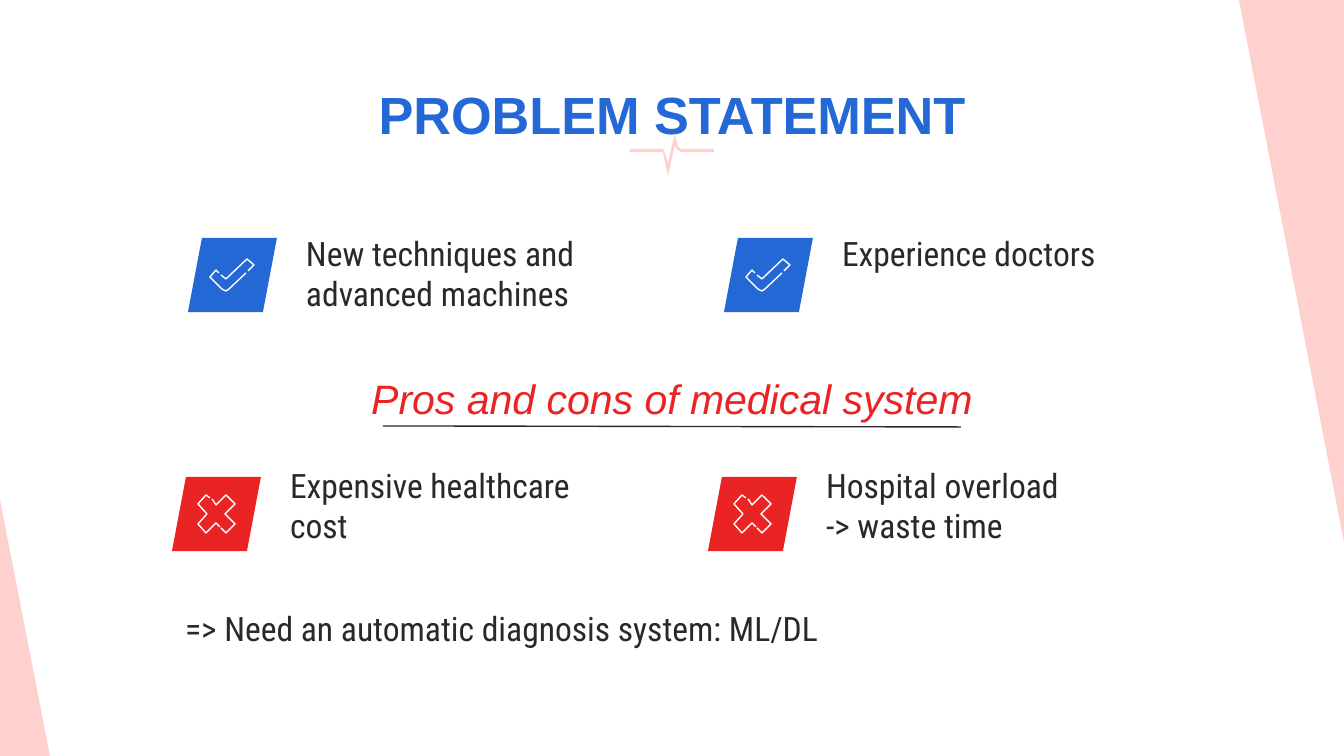
from dataclasses import dataclass

from lxml import etree
from pptx import Presentation
from pptx.dml.color import RGBColor
from pptx.enum.shapes import MSO_CONNECTOR
from pptx.enum.text import MSO_ANCHOR, MSO_AUTO_SIZE, PP_ALIGN
from pptx.oxml.ns import qn
from pptx.util import Pt

EMU_PER_PIXEL = 914400 / 134.4
SLIDE_WIDTH, SLIDE_HEIGHT = 1344, 756
STRAIGHT = MSO_CONNECTOR.STRAIGHT
TOP = MSO_ANCHOR.TOP
NO_AUTOFIT = MSO_AUTO_SIZE.NONE
LEFT, CENTER = PP_ALIGN.LEFT, PP_ALIGN.CENTER

COLORS = {
    "blue": "2468D6",
    "red": "EA2424",
    "pink": "FED1CF",
    "dark": "2C272A",
    "white": "FFFFFF",
}
INSET = 13
HEADING_TOP_INSET = 17
COLUMN_STEP = 536
TEXT_OFFSET = 105

Points = list[tuple[int, int]]

TILE: Points = [(14, 0), (0, 74), (75, 74), (89, 0)]
CHECK: list[Points] = [
    [(31, 35), (28, 32), (22, 39), (34, 51), (38, 53), (41, 51), (58, 35)],
    [(33, 37), (38, 41), (59, 21), (66, 27), (60, 33)],
]
CROSS: list[Points] = [
    [(40, 22), (44, 28), (54, 18), (63, 27), (53, 37), (63, 47), (54, 56), (49, 51)],
    [(38, 21), (34, 18), (26, 27), (35, 37), (26, 47), (34, 56), (44, 46), (48, 50)],
]
RIGHT_WEDGE: Points = [(1239, 0), (1344, 0), (1344, 542)]
LEFT_WEDGE: Points = [(0, 500), (0, 756), (50, 756)]
PULSE: Points = [
    (675, 133), (668, 163), (665, 153), (663, 149), (630, 149), (630, 152),
    (663, 152), (668, 176), (675, 145), (677, 149), (681, 152), (714, 152),
    (714, 149), (681, 149), (678, 146), (676, 139),
]


@dataclass
class TextStyle:
    size: int
    font: str
    color: str
    bold: bool = False
    italic: bool = False
    align: PP_ALIGN = LEFT
    top_inset: int = INSET


@dataclass
class Item:
    text: str
    width: int


@dataclass
class ItemRow:
    left: int
    top: int
    text_top: int
    color: str
    icon: list[Points]
    items: list[Item]


BODY = TextStyle(18, "Roboto Condensed", "dark")
TITLE = TextStyle(28, "Arial", "blue", bold=True, align=CENTER, top_inset=HEADING_TOP_INSET)
SUBTITLE = TextStyle(22, "Arial", "red", italic=True, align=CENTER, top_inset=HEADING_TOP_INSET)

ROWS = [
    ItemRow(188, 238, 220, "blue", CHECK, [
        Item("New techniques and advanced machines", 328),
        Item("Experience doctors", 328),
    ]),
    ItemRow(172, 477, 452, "red", CROSS, [
        Item("Expensive healthcare cost", 319),
        Item("Hospital overload\n-> waste time", 359),
    ]),
]


def emu(pixels: int) -> int:
    return round(pixels * EMU_PER_PIXEL)


def rgb(name: str) -> RGBColor:
    return RGBColor.from_string(COLORS[name])


def draw_outline(slide, points: Points, left: int = 0, top: int = 0, closed: bool = True):
    moved = [(left + x, top + y) for x, y in points]
    builder = slide.shapes.build_freeform(*moved[0], scale=EMU_PER_PIXEL)
    builder.add_line_segments(moved[1:], close=closed)
    shape = builder.convert_to_shape()
    shape.shadow.inherit = False
    return shape


def add_area(slide, points: Points, color: str, left: int = 0, top: int = 0) -> None:
    shape = draw_outline(slide, points, left, top)
    shape.fill.solid()
    shape.fill.fore_color.rgb = rgb(color)
    shape.line.fill.background()


def add_stroke(slide, points: Points, left: int, top: int) -> None:
    shape = draw_outline(slide, points, left, top, closed=False)
    shape.fill.background()
    shape.line.color.rgb = rgb("white")
    shape.line.width = Pt(0.75)


def write_text(shape, text: str, style: TextStyle) -> None:
    frame = shape.text_frame
    frame.text = text
    frame.word_wrap = True
    frame.auto_size = NO_AUTOFIT
    frame.vertical_anchor = TOP
    frame.margin_left = frame.margin_right = frame.margin_bottom = emu(INSET)
    frame.margin_top = emu(style.top_inset)
    for paragraph in frame.paragraphs:
        paragraph.alignment = style.align
        for run in paragraph.runs:
            run.font.size = Pt(style.size)
            run.font.name = style.font
            run.font.bold = style.bold
            run.font.italic = style.italic
            run.font.color.rgb = rgb(style.color)


def add_text(slide, text: str, style: TextStyle, left: int, top: int, width: int, height: int) -> None:
    box = slide.shapes.add_textbox(emu(left), emu(top), emu(width), emu(height))
    write_text(box, text, style)


def add_title(slide, text: str) -> None:
    title = slide.shapes.title
    title.left, title.top = emu(0), emu(65)
    title.width, title.height = emu(SLIDE_WIDTH), emu(62)
    write_text(title, text, TITLE)


def add_underline(slide) -> None:
    line = slide.shapes.add_connector(STRAIGHT, emu(383), emu(426), emu(961), emu(427))
    line.line.color.rgb = rgb("dark")
    line.line.width = Pt(0.75)
    etree.SubElement(line._element.spPr, qn("a:effectLst"))


def add_row(slide, row: ItemRow) -> None:
    for column, item in enumerate(row.items):
        left = row.left + column * COLUMN_STEP
        add_area(slide, TILE, row.color, left, row.top)
        for stroke in row.icon:
            add_stroke(slide, stroke, left, row.top)
        add_text(slide, item.text, BODY, left + TEXT_OFFSET, row.text_top, item.width, 125)


def main() -> None:
    presentation = Presentation()
    presentation.slide_width = emu(SLIDE_WIDTH)
    presentation.slide_height = emu(SLIDE_HEIGHT)
    slide = presentation.slides.add_slide(presentation.slide_layouts[5])
    add_underline(slide)
    for points in (RIGHT_WEDGE, LEFT_WEDGE, PULSE):
        add_area(slide, points, "pink")
    add_title(slide, "PROBLEM STATEMENT")
    add_text(slide, "Pros and cons of medical system", SUBTITLE, 0, 357, SLIDE_WIDTH, 62)
    for row in ROWS:
        add_row(slide, row)
    add_text(slide, "=> Need an automatic diagnosis system: ML/DL", BODY, 172, 595, 1011, 62)
    presentation.save("out.pptx")


main()
